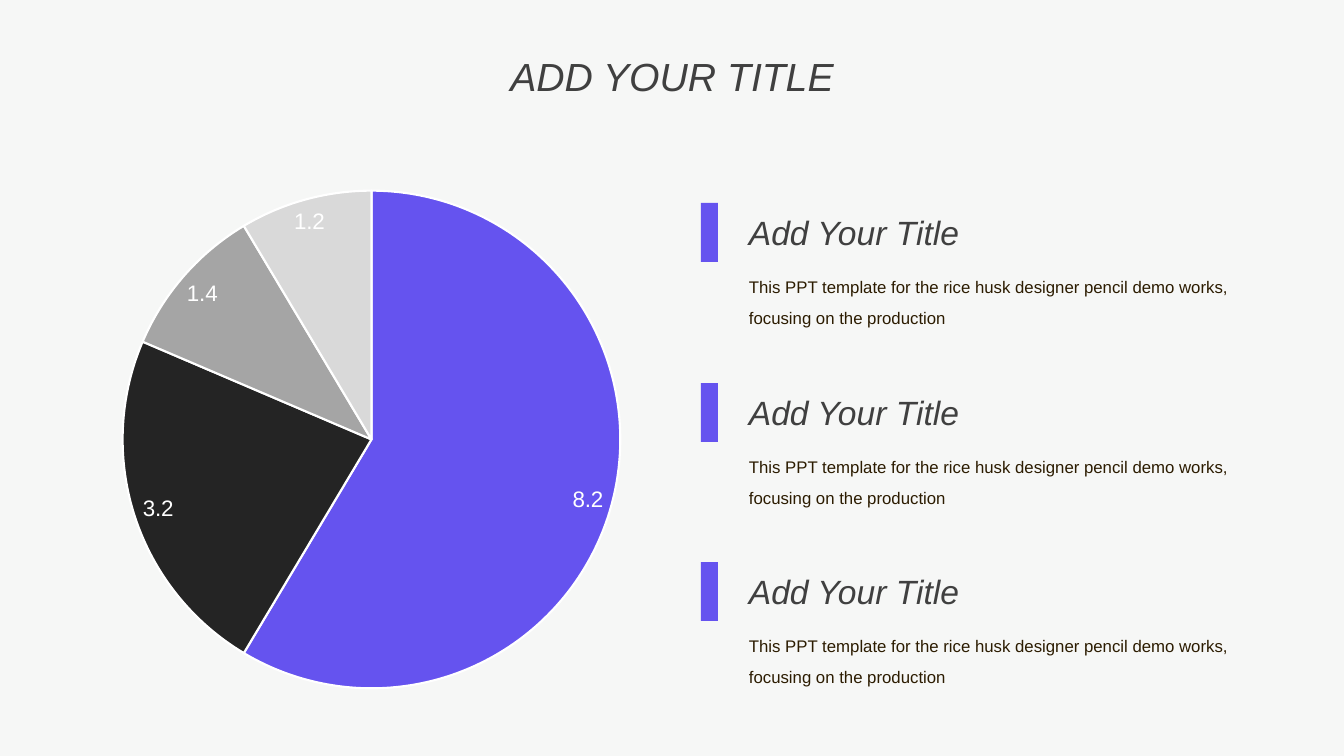
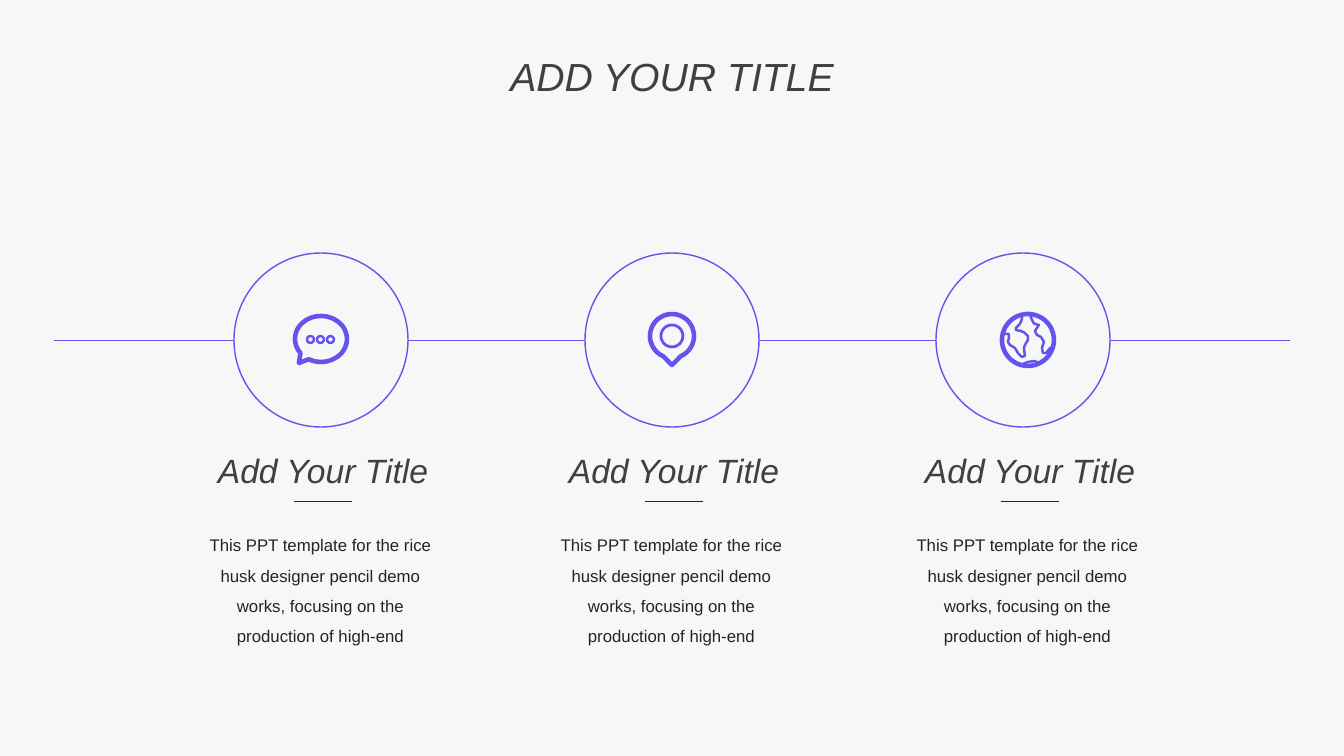
from math import cos, radians, sin

from lxml import etree
from pptx import Presentation
from pptx.chart.data import CategoryChartData
from pptx.dml.color import RGBColor
from pptx.enum.chart import XL_CHART_TYPE, XL_LABEL_POSITION
from pptx.enum.shapes import MSO_CONNECTOR, MSO_SHAPE
from pptx.enum.text import MSO_ANCHOR, MSO_AUTO_SIZE, PP_ALIGN
from pptx.oxml import parse_xml
from pptx.oxml.ns import qn
from pptx.util import Emu, Pt

PIE = XL_CHART_TYPE.PIE
BEST_FIT = XL_LABEL_POSITION.BEST_FIT
STRAIGHT = MSO_CONNECTOR.STRAIGHT
OVAL, RECTANGLE = MSO_SHAPE.OVAL, MSO_SHAPE.RECTANGLE
TOP = MSO_ANCHOR.TOP
LEFT, CENTER = PP_ALIGN.LEFT, PP_ALIGN.CENTER

SCALE = 12192000 / 1344  # EMU in one px
FONT = "Arial"
COLORS = {
    name: RGBColor.from_string(value)
    for name, value in {
        "background": "F6F7F6",
        "accent": "6553EF",
        "dark": "242424",
        "gray": "A5A5A5",
        "light": "D9D9D9",
        "white": "FFFFFF",
        "heading": "404040",
        "brown": "2C1C01",
    }.items()
}
HEADING = "Add Your Title"
BODY = ("This PPT template for the rice husk designer pencil demo works, "
        "focusing on the production")


def px(*lengths):
    return [Emu(round(length * SCALE)) for length in lengths]


def set_text(box, text, size, color, align=LEFT, italic=False, spacing=1.0):
    frame = box.text_frame
    frame.word_wrap = True
    frame.auto_size = MSO_AUTO_SIZE.NONE
    frame.vertical_anchor = TOP
    frame.text = text
    paragraph = frame.paragraphs[0]
    paragraph.alignment = align
    paragraph.line_spacing = spacing
    paragraph.font.name = FONT
    paragraph.font.size = Pt(size)
    paragraph.font.italic = italic
    paragraph.font.color.rgb = COLORS[color]


prs = Presentation()
prs.slide_width, prs.slide_height = px(1344, 756)

# Shared background and slide titles
background = prs.slide_master.background.fill
background.solid()
background.fore_color.rgb = COLORS["background"]
title_only = prs.slide_layouts[5]
pie_slide, steps_slide = [prs.slides.add_slide(title_only) for _ in range(2)]
for slide in (pie_slide, steps_slide):
    title = slide.shapes.title
    title.left, title.top, title.width, title.height = px(484, 47, 376, 57)
    set_text(title, "ADD YOUR TITLE", 28, "heading", CENTER, italic=True)

# Slide 1: pie chart
shares = CategoryChartData()
shares.categories = ["1", "2", "3", "4"]
shares.add_series("Series 1", (8.2, 3.2, 1.4, 1.2))
pie = pie_slide.shapes.add_chart(PIE, *px(-44, 152, 831, 553), shares).chart
pie.has_title = False
pie.has_legend = False
pie.font.name = FONT
pie.font.size = Pt(16)
plot = pie.plots[0]
plot.vary_by_categories = True
for index, color in enumerate(("accent", "dark", "gray", "light")):
    slice_format = plot.series[0].points[index].format
    slice_format.fill.solid()
    slice_format.fill.fore_color.rgb = COLORS[color]
    slice_format.line.color.rgb = COLORS["white"]
    slice_format.line.width = Pt(1.5)
plot.has_data_labels = True
labels = plot.data_labels
labels.show_value = True
labels.show_percentage = False
labels.position = BEST_FIT
labels.font.name = FONT
labels.font.size = Pt(16)
labels.font.color.rgb = COLORS["white"]

# Fixed plot area, as fractions of the chart frame
plot_area = plot.series[0]._element.getparent().getparent()
for old_layout in plot_area.findall(qn("c:layout")):
    plot_area.remove(old_layout)
plot_area.insert(0, parse_xml(
    '<c:layout xmlns:c="http://schemas.openxmlformats.org/drawingml/2006/chart">'
    '<c:manualLayout><c:layoutTarget val="inner"/>'
    '<c:xMode val="edge"/><c:yMode val="edge"/>'
    '<c:x val="0.2"/><c:y val="0.07"/><c:w val="0.6"/><c:h val="0.9"/>'
    '</c:manualLayout></c:layout>'))

# Slide 1: three marked paragraphs
for row_top in (203, 383, 562):
    marker = pie_slide.shapes.add_shape(RECTANGLE, *px(701, row_top, 17, 59))
    marker.shadow.inherit = False
    marker.fill.solid()
    marker.fill.fore_color.rgb = COLORS["accent"]
    marker.line.fill.background()
    set_text(pie_slide.shapes.add_textbox(*px(739, row_top + 4, 290, 50)),
             HEADING, 24, "heading", italic=True)
    set_text(pie_slide.shapes.add_textbox(*px(739, row_top + 59, 533, 67)),
             BODY, 12, "brown", spacing=1.5)

# Slide 2: timeline of three circles, with a text column under each
CIRCLE, AXIS_Y = 174, 340
circle_lefts = [234 + 351 * step for step in range(3)]
column_centers = (321, 672, 1028)
line_starts = [54] + [left + CIRCLE for left in circle_lefts]
line_ends = circle_lefts + [1290]
rules = [(start, end, AXIS_Y, "accent")
         for start, end in zip(line_starts, line_ends)]
rules += [(center - 27, center + 31, 501, "dark") for center in column_centers]
for start, end, y, color in rules:
    rule = steps_slide.shapes.add_connector(STRAIGHT, *px(start, y, end, y))
    rule.line.color.rgb = COLORS[color]
    rule.line.width = Pt(0.5)
    etree.SubElement(rule._element.spPr, qn("a:effectLst"))

for center in column_centers:
    set_text(steps_slide.shapes.add_textbox(*px(center - 143, 445, 290, 50)),
             HEADING, 24, "heading", CENTER, italic=True)
    set_text(steps_slide.shapes.add_textbox(*px(center - 134, 520, 267, 128)),
             BODY + " of high-end", 12, "dark", CENTER, spacing=1.5)

# Timeline circles and the round parts of the icons: left, top, size, weight
rings = [(left, AXIS_Y - CIRCLE // 2, CIRCLE, 1) for left in circle_lefts]
rings += [(307 + 10 * dot, 336, 7, 1.75) for dot in range(3)]
rings += [(661, 325, 22, 2), (1002, 314, 52, 3.25)]
outlines = []
for left, top, size, weight in rings:
    ring = steps_slide.shapes.add_shape(OVAL, *px(left, top, size, size))
    ring.fill.background()
    ring.shadow.inherit = False
    outlines.append((ring, weight))

# Speech bubble and map pin: an arc closed by a tip
curves = []
for cx, cy, rx, ry, first, last, tip in (
        (321, 339, 26, 23, 142, 478, (299, 363)),
        (672, 336, 22, 22, 114, 426, (672, 365))):
    arc = [(cx + rx * cos(radians(angle)), cy + ry * sin(radians(angle)))
           for angle in range(first, last + 1, 8)]
    curves.append((arc + [tip], True, 3.25))

# Globe: coastlines
coastlines = (
    [(1003, 334), (1009, 334), (1009, 338), (1008, 342), (1010, 345),
     (1015, 348), (1018, 353), (1022, 357), (1025, 356), (1024, 348),
     (1025, 345), (1028, 340), (1028, 336), (1025, 333), (1021, 331),
     (1016, 330), (1016, 328), (1020, 324), (1022, 319), (1022, 315)],
    [(1030, 315), (1033, 322), (1035, 324), (1039, 325), (1037, 328),
     (1035, 331), (1037, 335), (1041, 337), (1044, 342), (1042, 348),
     (1043, 353), (1046, 353), (1051, 347)],
    [(1020, 365), (1028, 362), (1034, 361), (1040, 363)],
)
curves += [(coastline, False, 1.75) for coastline in coastlines]

# Tenths of a px keep the arcs round
for points, closed, weight in curves:
    fine = [(x * 10, y * 10) for x, y in points]
    builder = steps_slide.shapes.build_freeform(*fine[0], scale=SCALE / 10)
    builder.add_line_segments(fine[1:], close=closed)
    curve = builder.convert_to_shape()
    curve.fill.background()
    curve.shadow.inherit = False
    outlines.append((curve, weight))

for outline, weight in outlines:
    outline.line.color.rgb = COLORS["accent"]
    outline.line.width = Pt(weight)

prs.save("out.pptx")
